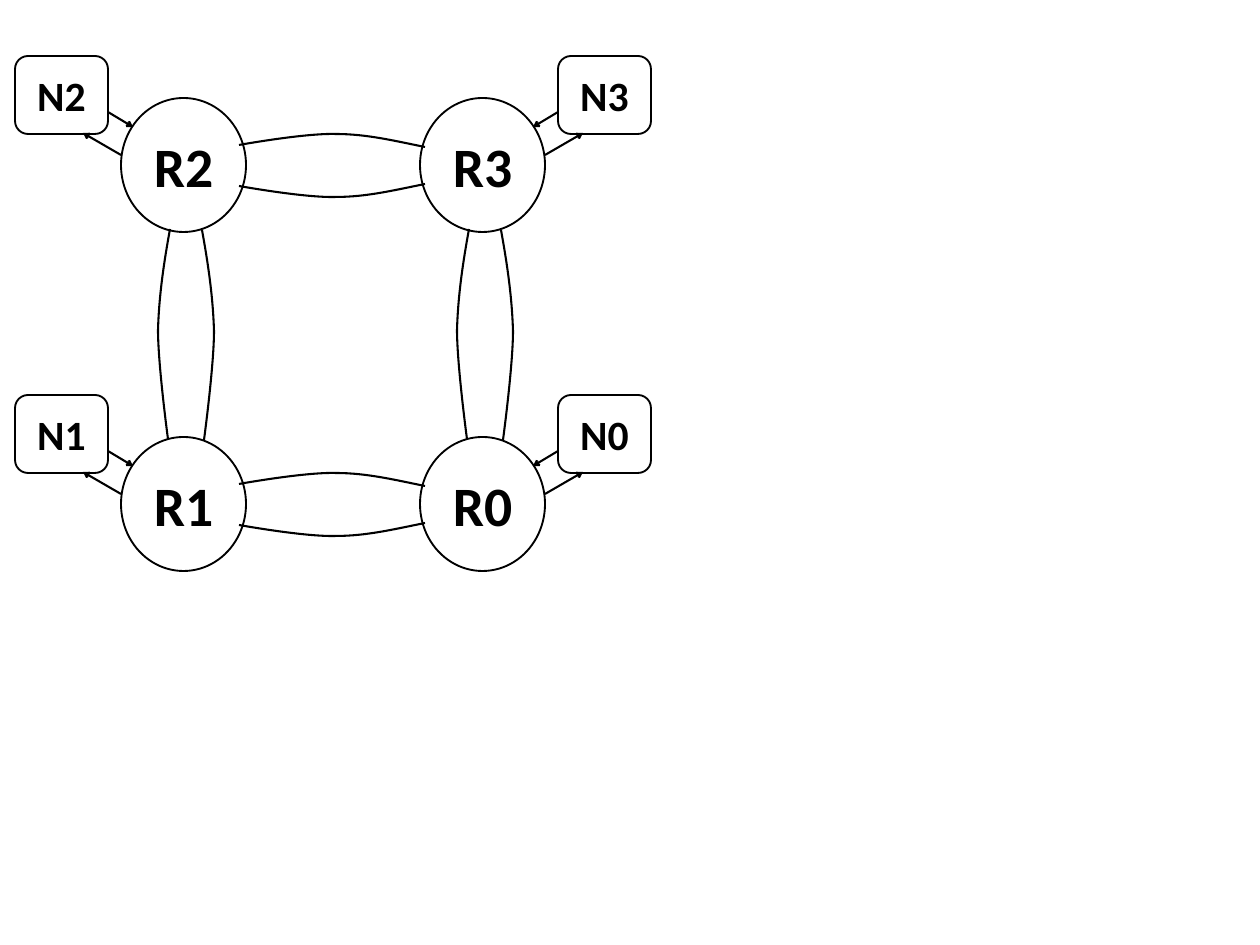
from lxml import etree
from pptx import Presentation
from pptx.dml.color import RGBColor
from pptx.enum import shapes, text
from pptx.oxml.ns import qn
from pptx.util import Pt

PX = 13716
INK, PAPER = "000000", "FFFFFF"
SIZE = 125, 134
SIDE = [(49, 131), (43, 164), (38, 197), (37, 232), (37, 267), (47, 341), (47, 341)]
TOP = [(304, 49), (274, 43), (246, 36), (215, 36), (184, 35), (118, 47), (118, 47)]
ARROWS = [((-13, 14), (12, 29)), ((0, 57), (-38, 35))]


def px(*nums):
    return [round(n * PX) for n in nums]


def hue(code):
    return RGBColor.from_string(code)


def pen(item, width):
    item.line.color.rgb = hue(INK)
    item.line.width = Pt(width)


def node(slide, kind, box, label, size):
    shape = slide.shapes.add_shape(kind, *px(*box))
    shape.shadow.inherit = False
    shape.fill.solid()
    shape.fill.fore_color.rgb = hue(PAPER)
    pen(shape, 2)
    frame = shape.text_frame
    frame.word_wrap = False
    frame.vertical_anchor = text.MSO_ANCHOR.MIDDLE
    para = frame.paragraphs[0]
    para.text = label
    para.alignment = text.PP_ALIGN.CENTER
    para.font.name = "Calibri"
    para.font.size = Pt(size)
    para.font.bold = True
    para.font.color.rgb = hue(INK)


def curve(slide, left, top, points):
    spots = [px(left + x, top + y) for x, y in points]
    form = slide.shapes.build_freeform(*spots[0])
    form.add_line_segments(spots[1:], close=False)
    shape = form.convert_to_shape()
    lines = list(shape._element.iter(qn("a:lnTo")))
    for i in range(0, len(lines), 3):
        bend = etree.SubElement(lines[i].getparent(), qn("a:cubicBezTo"))
        for line in lines[i:i + 3]:
            bend.append(line[0])
            line.getparent().remove(line)
    shape.shadow.inherit = False
    shape.fill.background()
    pen(shape, 2.25)


def arrow(slide, start, end):
    link = slide.shapes.add_connector(shapes.MSO_CONNECTOR.STRAIGHT, *px(*start, *end))
    pen(link, 2.25)
    etree.SubElement(link.line._get_or_add_ln(), qn("a:tailEnd"), type="arrow")
    etree.SubElement(link._element.spPr, qn("a:effectLst"))


def router(slide, left, top, num, right):
    wide, high = SIZE
    node(slide, shapes.MSO_SHAPE.OVAL, (left, top, wide, high), f"R{num}", 60)
    shift = 138 if right else -106
    node(slide, shapes.MSO_SHAPE.ROUNDED_RECTANGLE,
         (left + shift, top - 42, 93, 78), f"N{num}", 45)
    for ends in ARROWS:
        arrow(slide, *[(left + (wide - x if right else x), top + y) for x, y in ends])


def mesh(slide, left, top, across, down):
    cols, rows = (left, left + across), (top, top + down)
    for y, nums in zip(rows, ((2, 3), (1, 0))):
        for x, num in zip(cols, nums):
            router(slide, x, y, num, x > left)
        curve(slide, left, y, TOP)
        curve(slide, left, y, [(a, 135 - b) for a, b in TOP])
    for x in cols:
        curve(slide, x, top, SIDE)
        curve(slide, x, top, [(130 - a, b + 1) for a, b in SIDE])


deck = Presentation()
deck.slide_width, deck.slide_height = px(1260, 945)
page = deck.slides.add_slide(deck.slide_layouts[6])
mesh(page, 121, 98, 299, 339)
deck.save("out.pptx")
